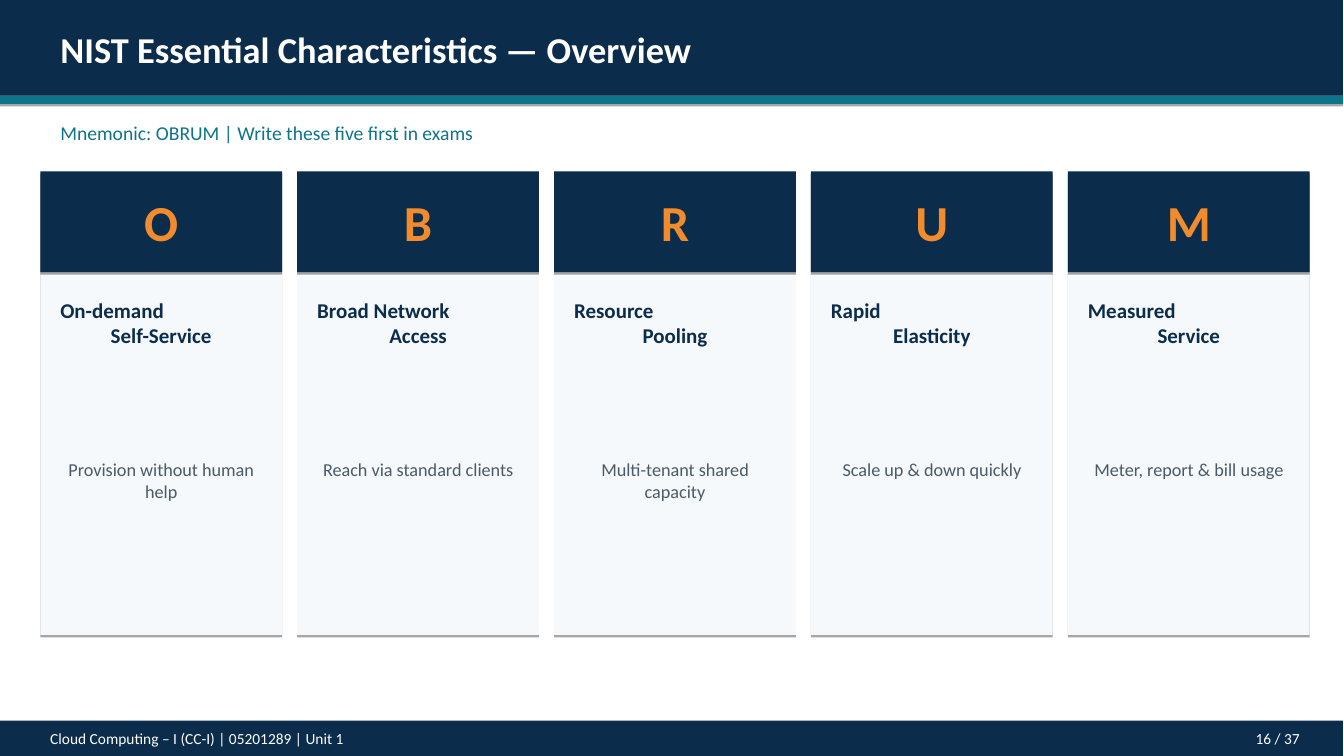
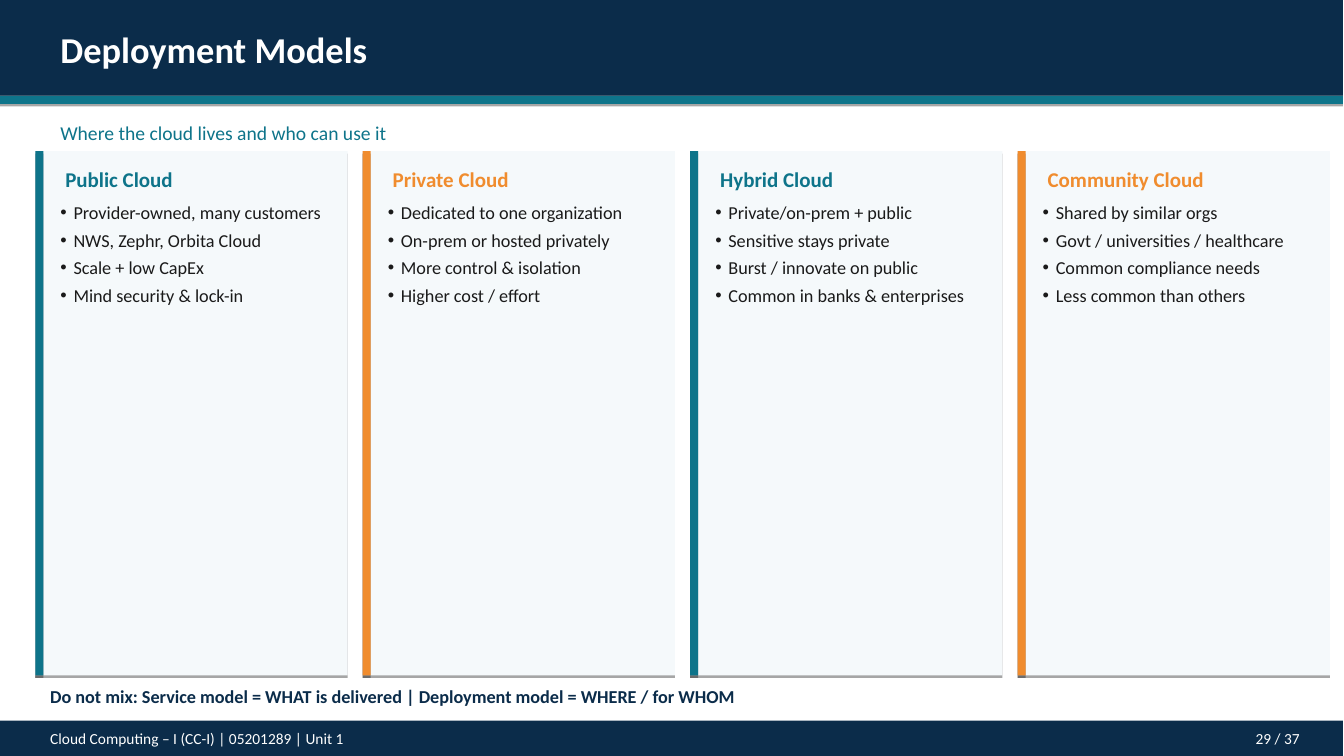
from itertools import cycle

from pptx import Presentation, util as u
from pptx.dml.color import RGBColor
from pptx.enum import shapes, text
from pptx.oxml import parse_xml
from pptx.oxml.ns import nsdecls

PX = 9144  # EMU in one px, 100 px to the inch
LEFT, CENTER, RIGHT = (text.PP_ALIGN.LEFT,), (text.PP_ALIGN.CENTER,), (text.PP_ALIGN.RIGHT,)


class Theme:
    font = "Calibri"
    navy, teal, orange = "0B2C4A", "0E748A", "F08C2E"
    panel, white, ink, grey = "F5F9FB", "FFFFFF", "1A1A1A", "4A5A66"
    title = {"size": 26, "bold": True}
    subtitle = {"size": 14, "bold": False}
    footer = {"size": 11, "bold": False}
    letter = {"size": 36, "bold": True}
    heading = {"size": 15, "bold": True}
    body = {"size": 13, "bold": False}
    note = {"size": 13, "bold": True}


def add_rect(s, box, color):
    """Filled rectangle with the deck's thin hard shadow."""
    sp = s.shapes.add_shape(shapes.MSO_SHAPE.RECTANGLE, *(v * PX for v in box))
    sp.fill.solid()
    sp.fill.fore_color.rgb = RGBColor.from_string(color)
    sp.line.fill.background()
    sp.shadow.inherit = False
    effects = sp.element.spPr.find("{*}effectLst")
    effects.append(parse_xml(
        f'<a:outerShdw {nsdecls("a")} blurRad="0" dist="23000" dir="5400000" rotWithShape="0">'
        '<a:srgbClr val="000000"><a:alpha val="35000"/></a:srgbClr></a:outerShdw>'))


def write(s, box, lines, style, color, aligns=LEFT, holder=None, bullets=False):
    """Fill a placeholder, or a new text box, with one paragraph per line."""
    sp = holder or s.shapes.add_textbox(0, 0, 0, 0)
    s.shapes.element.append(sp.element)  # text stays above the bands and panels
    for name, value in zip(("left", "top", "width", "height"), box):
        setattr(sp, name, value * PX)
    tf = sp.text_frame
    frame = {"word_wrap": True, "auto_size": text.MSO_AUTO_SIZE.NONE,
             "vertical_anchor": text.MSO_ANCHOR.TOP}
    for name, value in frame.items():
        setattr(tf, name, value)
    for i, (line, align) in enumerate(zip(lines, cycle(aligns))):
        p = tf.add_paragraph() if i else tf.paragraphs[0]
        if bullets:
            pPr = p._p.get_or_add_pPr()
            pPr.set("marL", str(13 * PX))
            pPr.set("indent", str(-13 * PX))
            pPr.append(parse_xml(f'<a:buChar {nsdecls("a")} char="•"/>'))
        spacing = {"alignment": align, "space_before": u.Pt(0),
                   "space_after": u.Pt(4 if bullets else 0)}
        for name, value in spacing.items():
            setattr(p, name, value)
        r = p.add_run()
        r.text = line
        for name, value in {"name": Theme.font, **style, "size": u.Pt(style["size"])}.items():
            setattr(r.font, name, value)
        r.font.color.rgb = RGBColor.from_string(color)


prs = Presentation()
prs.slide_width, prs.slide_height = 1334 * PX, 750 * PX

# Shared frame: bands, title, subtitle and footer
TITLE_ONLY, COMPARISON = prs.slide_layouts[5], prs.slide_layouts[4]
frames = [
    (TITLE_ONLY, "NIST Essential Characteristics — Overview",
     "Mnemonic: OBRUM | Write these five first in exams", "16 / 37"),
    (COMPARISON, "Deployment Models", "Where the cloud lives and who can use it", "29 / 37"),
]
slides = []
for layout, title, subtitle, number in frames:
    s = prs.slides.add_slide(layout)
    s.background.fill.solid()
    s.background.fill.fore_color.rgb = RGBColor.from_string(Theme.white)
    for top, height, color in ((0, 95, Theme.navy), (95, 8, Theme.teal), (715, 35, Theme.navy)):
        add_rect(s, (0, top, 1333, height), color)
    write(s, (50, 22, 1150, 53), [title], Theme.title, Theme.white, holder=s.shapes.title)
    write(s, (50, 115, 1200, 33), [subtitle], Theme.subtitle, Theme.teal)
    write(s, (40, 718, 900, 28), ["Cloud Computing – I (CC-I) | 05201289 | Unit 1"],
          Theme.footer, Theme.white)
    write(s, (1120, 718, 180, 28), [number], Theme.footer, Theme.white, RIGHT)
    slides.append(s)
overview, deployment = slides

# Overview: five lettered columns
traits = [
    ("O", ("On-demand", "Self-Service"), "Provision without human help"),
    ("B", ("Broad Network", "Access"), "Reach via standard clients"),
    ("R", ("Resource", "Pooling"), "Multi-tenant shared capacity"),
    ("U", ("Rapid", "Elasticity"), "Scale up & down quickly"),
    ("M", ("Measured", "Service"), "Meter, report & bill usage"),
]
for i, (letter, name, summary) in enumerate(traits):
    x = 40 + 255 * i
    add_rect(overview, (x, 170, 240, 460), Theme.panel)
    add_rect(overview, (x, 170, 240, 100), Theme.navy)
    write(overview, (x, 185, 240, 70), [letter], Theme.letter, Theme.orange, CENTER)
    write(overview, (x + 10, 290, 220, 60), name, Theme.heading, Theme.navy, LEFT + CENTER)
    write(overview, (x + 10, 450, 220, 53), [summary], Theme.body, Theme.grey, CENTER)

# Deployment models: four cards with an accent edge
models = [
    ("Public Cloud", ["Provider-owned, many customers", "NWS, Zephr, Orbita Cloud",
                      "Scale + low CapEx", "Mind security & lock-in"]),
    ("Private Cloud", ["Dedicated to one organization", "On-prem or hosted privately",
                       "More control & isolation", "Higher cost / effort"]),
    ("Hybrid Cloud", ["Private/on-prem + public", "Sensitive stays private",
                      "Burst / innovate on public", "Common in banks & enterprises"]),
    ("Community Cloud", ["Shared by similar orgs", "Govt / universities / healthcare",
                         "Common compliance needs", "Less common than others"]),
]
bodies = list(deployment.placeholders)[1:]
accents = cycle((Theme.teal, Theme.orange))
for i, ((name, points), body, accent) in enumerate(zip(models, bodies, accents)):
    x = 35 + 325 * i
    add_rect(deployment, (x, 150, 310, 520), Theme.panel)
    add_rect(deployment, (x, 150, 8, 520), accent)
    write(deployment, (x + 20, 160, 280, 35), [name], Theme.heading, accent)
    write(deployment, (x + 15, 195, 285, 114), points, Theme.body, Theme.ink,
          holder=body, bullets=True)
write(deployment, (40, 675, 1250, 32),
      ["Do not mix: Service model = WHAT is delivered | Deployment model = WHERE / for WHOM"],
      Theme.note, Theme.navy)

prs.save("out.pptx")
